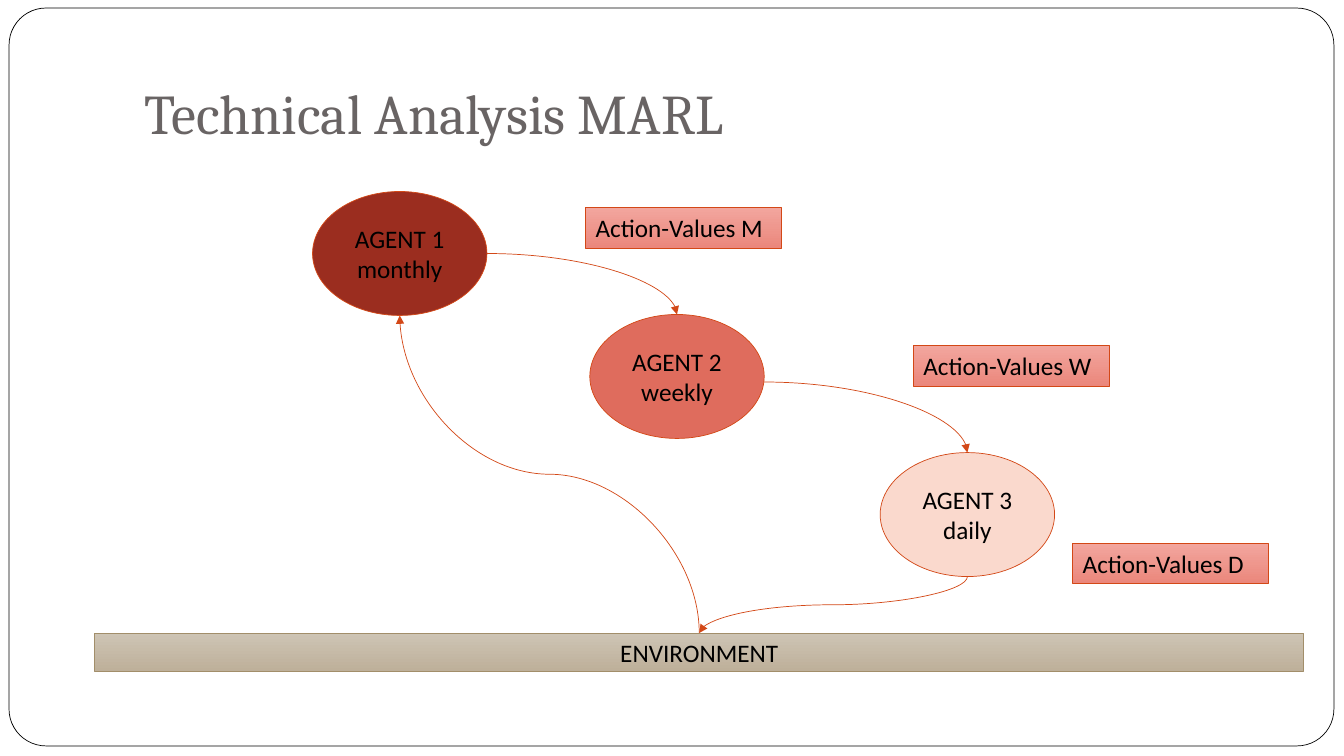
"""Build the slide of three trading agents that share one environment."""
import pptx
import pptx.dml.color
import pptx.enum.shapes
import pptx.enum.text
import pptx.oxml.ns
import pptx.util

WIDE, HIGH = 13.33, 7.5
TITLE = "Technical Analysis MARL"
RUST, BLACK, GREY = "D34817", "000000", "696464"
OVAL = (1.73, 1.23)
TAG = (1.94, 0.4)
AGENTS = [
    ("AGENT 1\nmonthly", 3.1, 1.9, "9B2D1F"),
    ("AGENT 2\nweekly", 5.85, 3.12, "DF6C5D"),
    ("AGENT 3\ndaily", 8.73, 4.49, "FAD9CD"),
]
TAGS = [
    ("Action-Values M", 5.81, 2.06),
    ("Action-Values W", 9.06, 3.43),
    ("Action-Values D", 10.64, 5.39),
]
GROUND = ("ENVIRONMENT", (0.94, 6.28, 11.99, 0.38))
FRAME = (0.09, 0.08, 13.14, 7.32)
SAND, ROSE = ("CDC4B4", "BEB09A"), ("F2A69E", "EB877C")

KIND = pptx.enum.shapes.MSO_SHAPE
ALIGN = pptx.enum.text.PP_ALIGN
ANCHOR = pptx.enum.text.MSO_ANCHOR
FIT = pptx.enum.text.MSO_AUTO_SIZE
MID = {"vertical_anchor": ANCHOR.MIDDLE, "word_wrap": True}
SNUG = {"vertical_anchor": ANCHOR.MIDDLE, "word_wrap": False,
        "auto_size": FIT.SHAPE_TO_FIT_TEXT}
BODY = {"name": "Calibri", "size": pptx.util.Pt(18)}
HEAD = {"name": "Cambria", "size": pptx.util.Pt(40)}


def color(code):
    return pptx.dml.color.RGBColor.from_string(code)


def inch(*sizes):
    return [pptx.util.Inches(size) for size in sizes]


def apply(item, values):
    for name, value in values.items():
        setattr(item, name, value)


def write(shape, text, frame, font, ink, align):
    body = shape.text_frame
    body.text = text
    apply(body, frame)
    for par in body.paragraphs:
        par.alignment = align
        for run in par.runs:
            apply(run.font, font)
            run.font.color.rgb = color(ink)


def stroke(item, code):
    item.line.color.rgb = color(code)
    item.line.width = pptx.util.Pt(0.5)


def block(slide, kind, box, paint, edge):
    shape = slide.shapes.add_shape(kind, *inch(*box))
    shape.shadow.inherit = False
    if isinstance(paint, tuple):
        shape.fill.gradient()
        shape.fill.gradient_angle = 270
        for stop, code in zip(shape.fill.gradient_stops, paint):
            stop.color.rgb = color(code)
    else:
        shape.fill.solid()
        shape.fill.fore_color.rgb = color(paint)
    stroke(shape, edge)
    return shape


def curve(slide, start, end, bend, turn):
    """Draw a curved arrow; a turned one leaves and arrives upright."""
    (x1, y1), (x2, y2) = start, end
    wide, high = abs(x2 - x1), abs(y2 - y1)
    if turn:
        wide, high = high, wide
    left, top = (x1 + x2 - wide) / 2, (y1 + y2 - high) / 2
    link = slide.shapes.add_connector(
        pptx.enum.shapes.MSO_CONNECTOR.CURVE,
        *inch(left, top, left + wide, top + high))
    stroke(link, RUST)
    name = pptx.oxml.ns.qn
    props = link.element.spPr
    props.find(name("a:prstGeom")).set("prst", bend)
    apex = props.find(name("a:xfrm"))
    if turn:
        apex.set("rot", str(turn * 60000))
    if turn == 270:
        apex.set("flipV", "1")
    tip = props.find(name("a:ln"))
    tip.append(tip.makeelement(name("a:tailEnd"), {"type": "triangle"}))
    props.append(props.makeelement(name("a:effectLst"), {}))


def main():
    deck = pptx.Presentation()
    deck.slide_width, deck.slide_height = inch(WIDE, HIGH)
    slide = deck.slides.add_slide(deck.slide_layouts[5])

    title = slide.shapes.title
    apply(title, dict(zip(("left", "top", "width", "height"),
                          inch(1.33, 0.3, 11.33, 1.25))))
    write(title, TITLE, {"vertical_anchor": ANCHOR.BOTTOM,
                         "margin_bottom": pptx.util.Inches(0.1)},
          HEAD, GREY, ALIGN.LEFT)
    frame = block(slide, KIND.ROUNDED_RECTANGLE, FRAME, "FFFFFF", BLACK)
    frame.adjustments[0] = 0.05
    title.element.addprevious(frame.element)

    wide, high = OVAL
    for text, left, top, paint in AGENTS:
        oval = block(slide, KIND.OVAL, (left, top, *OVAL), paint, RUST)
        write(oval, text, MID, BODY, BLACK, ALIGN.CENTER)

    text, box = GROUND
    ground = block(slide, KIND.RECTANGLE, box, SAND, "A28E6A")
    write(ground, text, MID, BODY, BLACK, ALIGN.CENTER)

    tops = [(left + wide / 2, top) for _, left, top, _ in AGENTS]
    lows = [(x, y + high) for x, y in tops]
    sides = [(x + wide / 2, y + high / 2) for x, y in tops]
    base = (box[0] + box[2] / 2, box[1])
    sides[1] = (sides[1][0], 3.79)
    curve(slide, base, lows[0], "curvedConnector3", 270)
    for start, end in zip(sides, tops[1:]):
        curve(slide, start, end, "curvedConnector2", 0)
    curve(slide, lows[2], base, "curvedConnector3", 90)

    for text, left, top in TAGS:
        tag = block(slide, KIND.RECTANGLE, (left, top, *TAG), ROSE, RUST)
        write(tag, text, SNUG, BODY, BLACK, ALIGN.LEFT)

    deck.save("out.pptx")


if __name__ == "__main__":
    main()
